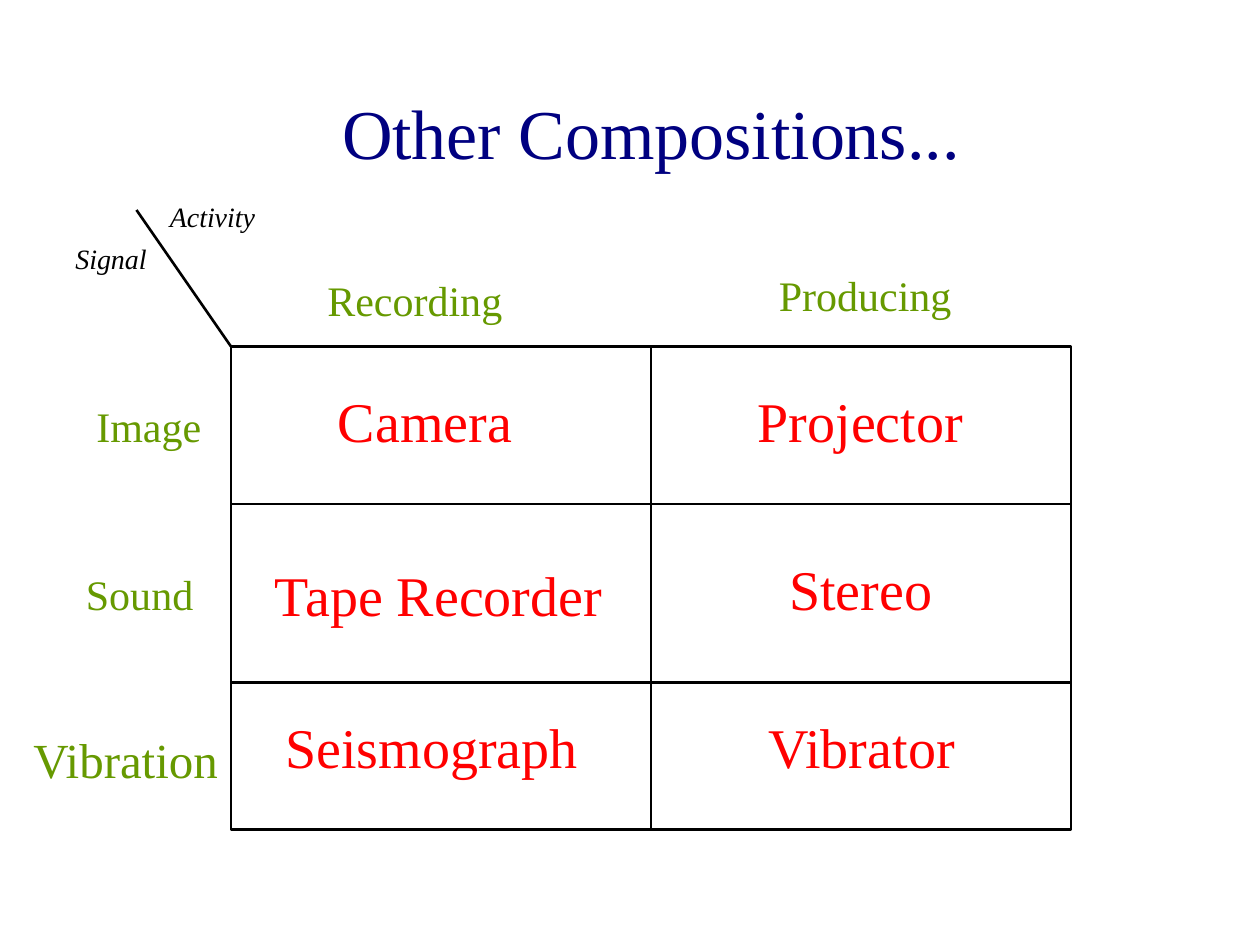
from pptx import Presentation
from pptx.dml.color import RGBColor
from pptx.enum.shapes import MSO_CONNECTOR, MSO_SHAPE
from pptx.enum.text import MSO_ANCHOR, MSO_AUTO_SIZE, PP_ALIGN
from pptx.oxml.ns import qn
from pptx.util import Inches, Pt
from lxml.etree import SubElement

COLORS = {"title": "000080", "line": "000000", "axis": "000000",
          "heading": "669900", "device": "FF0000"}
FONT = "Times New Roman"

prs = Presentation()
prs.slide_width, prs.slide_height = Inches(10), Inches(7.5)
slide = prs.slides.add_slide(prs.slide_layouts[6])

# The slide is a grid of 120 columns and 90 rows
UNIT = prs.slide_width / 120
LEFT, MIDDLE, RIGHT = 22, 62, 102
TOP, SOUND_TOP, VIBRATION_TOP, BOTTOM = 33, 48, 65, 79


def grid(*cells):
    return [round(cell * UNIT) for cell in cells]


def add_label(text, box, size, color, italic=False):
    label = slide.shapes.add_textbox(*grid(*box))
    frame = label.text_frame
    frame.text = text
    frame.word_wrap = False
    frame.auto_size = MSO_AUTO_SIZE.SHAPE_TO_FIT_TEXT
    paragraph = frame.paragraphs[0]
    paragraph.line_spacing = 0.8
    font = paragraph.runs[0].font
    font.name, font.size, font.italic = FONT, Pt(size), italic
    font.color.rgb = RGBColor.from_string(COLORS[color])
    return frame


# Title
title = add_label("Other Compositions...", (11, 5, 102, 15), 40, "title")
title.auto_size = MSO_AUTO_SIZE.NONE
title.word_wrap = True
title.vertical_anchor = MSO_ANCHOR.MIDDLE
title.paragraphs[0].alignment = PP_ALIGN.CENTER
title.paragraphs[0].line_spacing = 1.0

# Matrix outline
matrix = slide.shapes.add_shape(
    MSO_SHAPE.RECTANGLE, *grid(LEFT, TOP, RIGHT - LEFT, BOTTOM - TOP))
matrix.shadow.inherit = False
matrix.fill.background()
matrix.line.color.rgb = RGBColor.from_string(COLORS["line"])
matrix.line.width = Pt(1.5)

# Column divider, row dividers and the diagonal between the axis names
dividers = []
for ends in [(MIDDLE, TOP, MIDDLE, BOTTOM),
             (LEFT, SOUND_TOP, RIGHT, SOUND_TOP),
             (LEFT, VIBRATION_TOP, RIGHT, VIBRATION_TOP),
             (LEFT, TOP, 13, 20)]:
    divider = slide.shapes.add_connector(MSO_CONNECTOR.STRAIGHT, *grid(*ends))
    divider.line.color.rgb = RGBColor.from_string(COLORS["line"])
    divider.line.width = Pt(1.5)
    SubElement(divider.element.spPr, qn("a:effectLst"))
    dividers.append(divider)
dividers[0].begin_connect(matrix, 0)
dividers[0].end_connect(matrix, 2)

# Axis names: text, left, top, width
for text, left, top, width in [("Activity", 15, 19, 10.8),
                               ("Signal", 6, 23, 9.4)]:
    add_label(text, (left, top, width, 3.8), 16, "axis", italic=True)

# Column and row headings: text, left, top, width, height, size
for text, left, top, width, height, size in [
        ("Recording", 30, 26.5, 19.2, 5, 24),
        ("Producing", 73, 26, 19.2, 5, 24),
        ("Image", 8, 38.5, 12.6, 5, 24),
        ("Sound", 7, 54.5, 12.8, 5, 24),
        ("Vibration", 2, 70, 20.4, 5.8, 28)]:
    add_label(text, (left, top, width, height), size, "heading")

# Devices in the matrix: text, left, top, width
for text, left, top, width in [
        ("Camera", 31, 37.5, 19.1), ("Projector", 71, 37.5, 22.1),
        ("Tape Recorder", 25, 54, 34.1), ("Stereo", 74, 53.5, 16.1),
        ("Seismograph", 26, 68.5, 30.6), ("Vibrator", 72, 68.5, 20.6)]:
    add_label(text, (left, top, width, 6.4), 32, "device")

prs.save("out.pptx")
